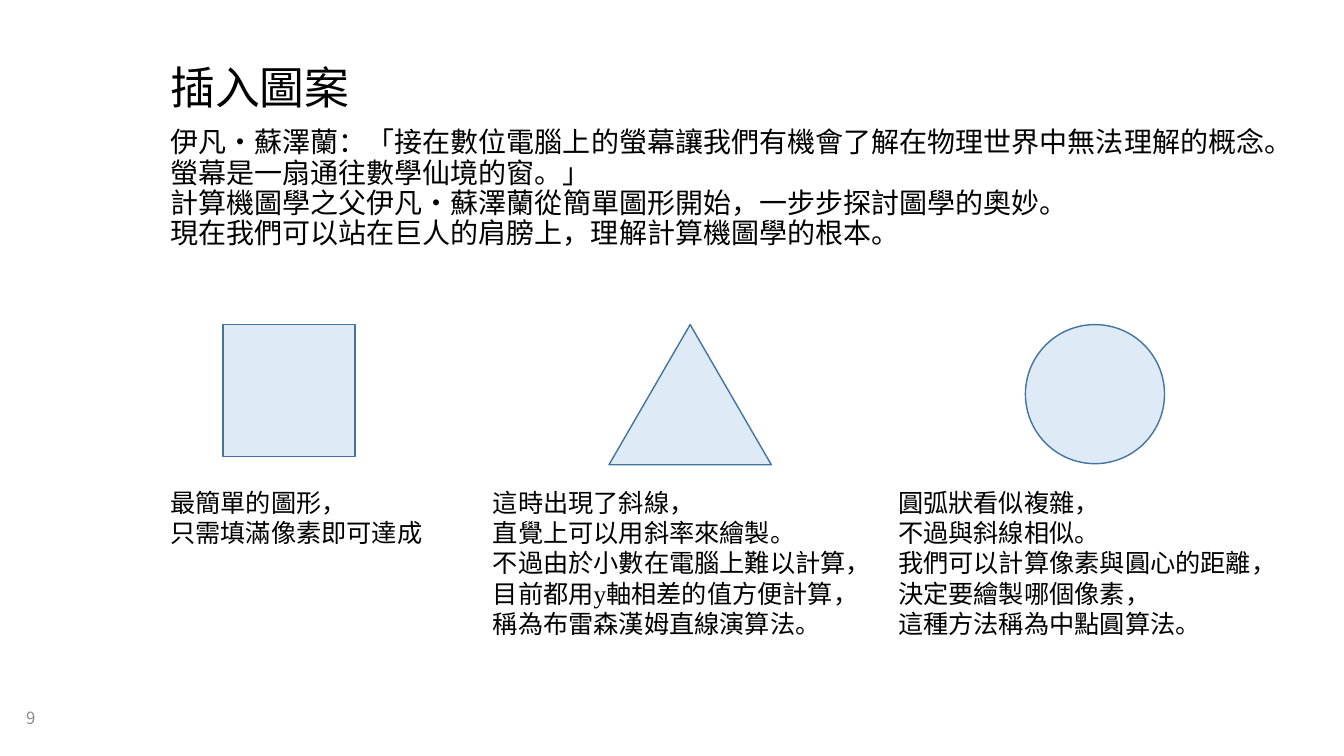
from lxml import etree
from pptx import Presentation
from pptx.dml.color import RGBColor
from pptx.enum.shapes import MSO_SHAPE
from pptx.enum.text import MSO_ANCHOR
from pptx.oxml.ns import qn
from pptx.util import Inches, Pt

BLACK = RGBColor(0x00, 0x00, 0x00)
GRAY = RGBColor(0x8C, 0x8C, 0x8C)
PALE_BLUE = RGBColor(0xDE, 0xEB, 0xF7)
STEEL_BLUE = RGBColor(0x43, 0x73, 0x9E)
SQUARE = MSO_SHAPE.RECTANGLE
TRIANGLE = MSO_SHAPE.ISOSCELES_TRIANGLE
CIRCLE = MSO_SHAPE.OVAL
TOP = MSO_ANCHOR.TOP
MIDDLE = MSO_ANCHOR.MIDDLE
SANS = "Noto Sans CJK SC"
SERIF = "Times New Roman"

TEXT_LEFT = 1.59
FIGURE_TOP = 3.22
CAPTION_TOP = 4.78

INTRODUCTION = [
    "伊凡·蘇澤蘭：「接在數位電腦上的螢幕讓我們有機會了解在物理世界中無法理解的概念。螢幕是一扇通往數學仙境的窗。」",
    "計算機圖學之父伊凡·蘇澤蘭從簡單圖形開始，一步步探討圖學的奧妙。",
    "現在我們可以站在巨人的肩膀上，理解計算機圖學的根本。",
]

FIGURES = [
    (SQUARE, 2.21, 1.31, 1.31, TEXT_LEFT, 3, 0.71, [
        "最簡單的圖形，",
        "只需填滿像素即可達成",
    ]),
    (TRIANGLE, 6.04, 1.61, 1.39, 4.79, 4.1, 1.62, [
        "這時出現了斜線，",
        "直覺上可以用斜率來繪製。",
        "不過由於小數在電腦上難以計算，",
        "目前都用y軸相差的值方便計算，",
        "稱為布雷森漢姆直線演算法。",
    ]),
    (CIRCLE, 10.17, 1.38, 1.38, 8.81, 4.1, 1.62, [
        "圓弧狀看似複雜，",
        "不過與斜線相似。",
        "我們可以計算像素與圓心的距離，",
        "決定要繪製哪個像素，",
        "這種方法稱為中點圓算法。",
    ]),
]


def add_text(slide, box, lines, size, spacing, font=SANS, color=BLACK, anchor=TOP):
    frame = slide.shapes.add_textbox(*map(Inches, box)).text_frame
    frame.word_wrap = True
    frame.vertical_anchor = anchor
    frame.text = "\n".join(lines)
    for paragraph in frame.paragraphs:
        paragraph.line_spacing = Pt(spacing)
        for run in paragraph.runs:
            run.font.name = font
            run.font.size = Pt(size)
            run.font.color.rgb = color
            east_asian = etree.Element(qn("a:ea"), typeface=SANS)
            run.font._element.find(qn("a:latin")).addnext(east_asian)


def add_figure(slide, outline, left, width, height):
    figure = slide.shapes.add_shape(
        outline, Inches(left), Inches(FIGURE_TOP), Inches(width), Inches(height))
    figure.shadow.inherit = False
    figure.fill.solid()
    figure.fill.fore_color.rgb = PALE_BLUE
    figure.line.color.rgb = STEEL_BLUE
    figure.line.width = Pt(1)


def main():
    presentation = Presentation()
    presentation.slide_width = Inches(13.33)
    presentation.slide_height = Inches(7.5)
    slide = presentation.slides.add_slide(presentation.slide_layouts[6])

    add_text(slide, (0.16, 6.93, 0.67, 0.39), ["9"], 12, 14.4, color=GRAY, anchor=MIDDLE)
    add_text(slide, (TEXT_LEFT, 0.6, 11.5, 0.62), ["插入圖案"], 32, 34.6)
    add_text(slide, (TEXT_LEFT, 1.22, 11.5, 1.38), INTRODUCTION, 20, 21.7)
    for outline, left, width, height, caption_left, caption_width, caption_height, caption in FIGURES:
        add_figure(slide, outline, left, width, height)
        add_text(slide, (caption_left, CAPTION_TOP, caption_width, caption_height),
                 caption, 18, 21.7, font=SERIF)

    presentation.save("out.pptx")


if __name__ == "__main__":
    main()
